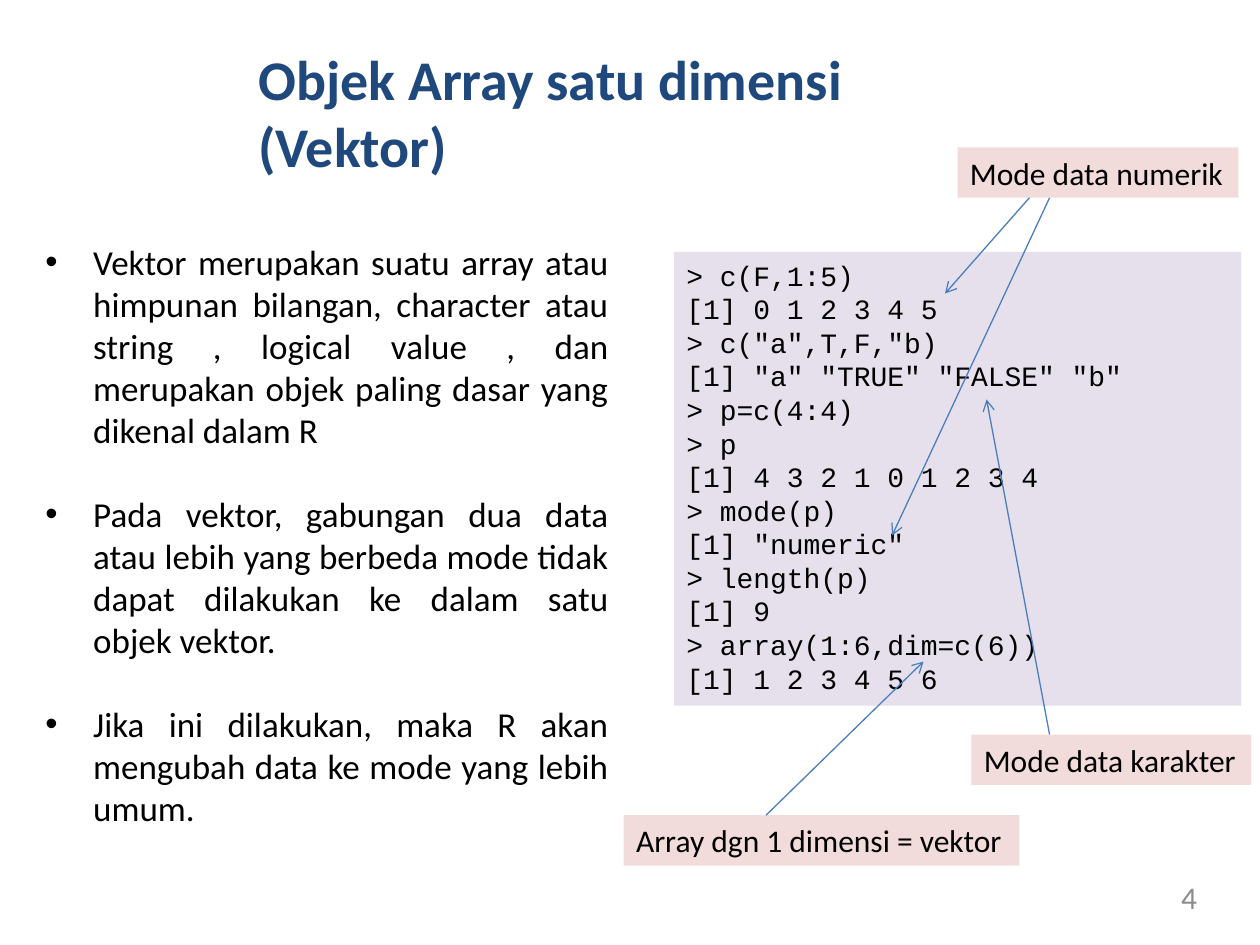
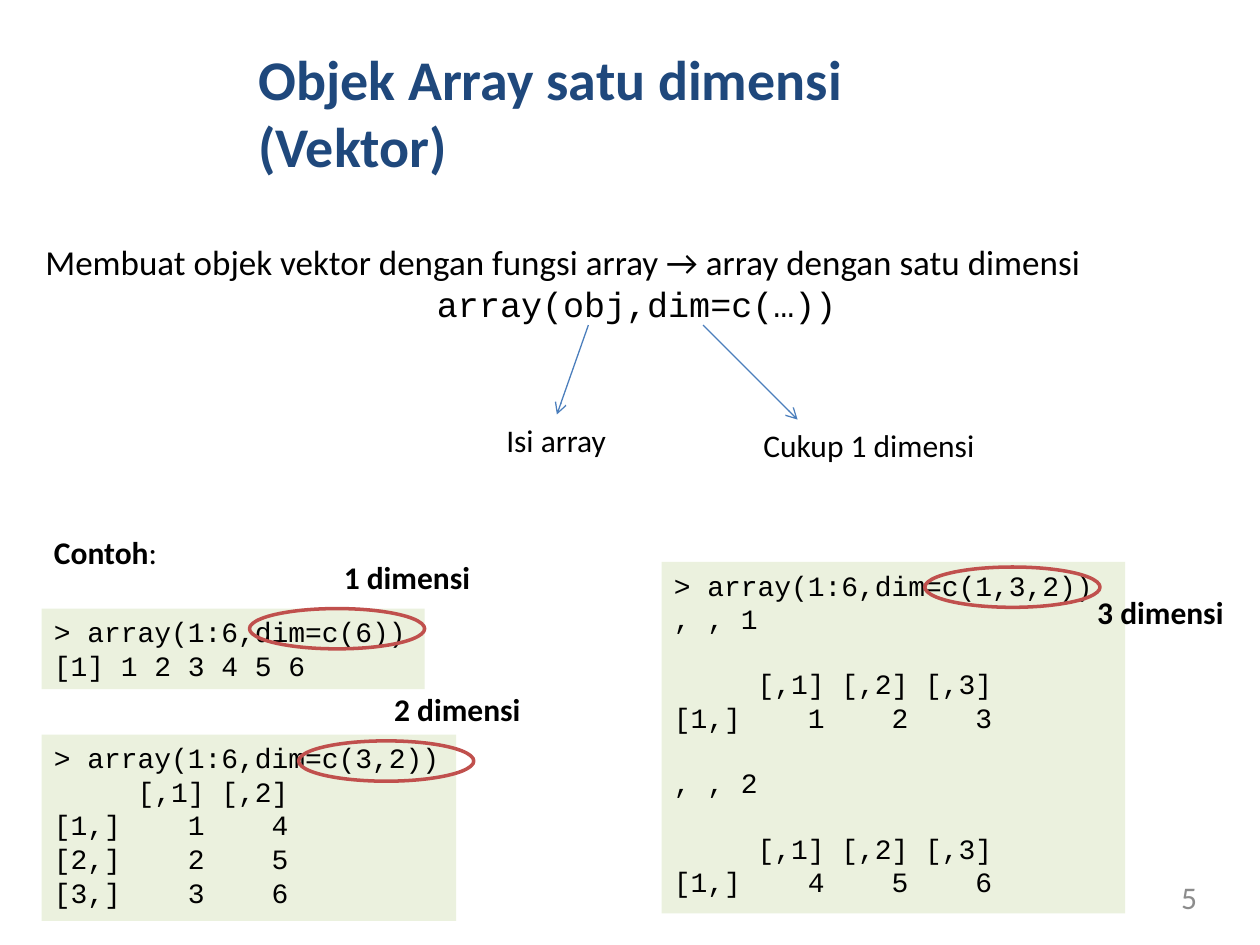
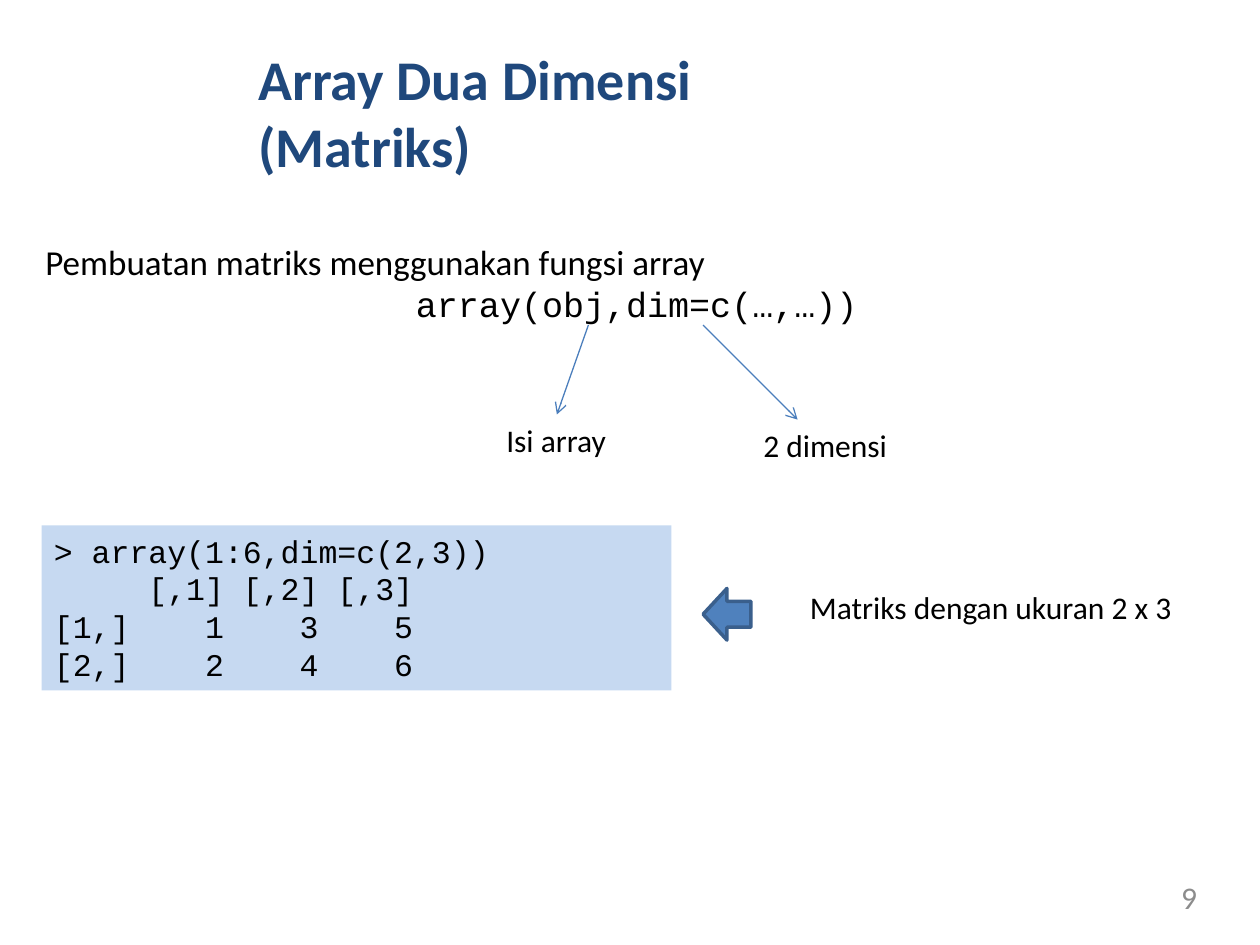
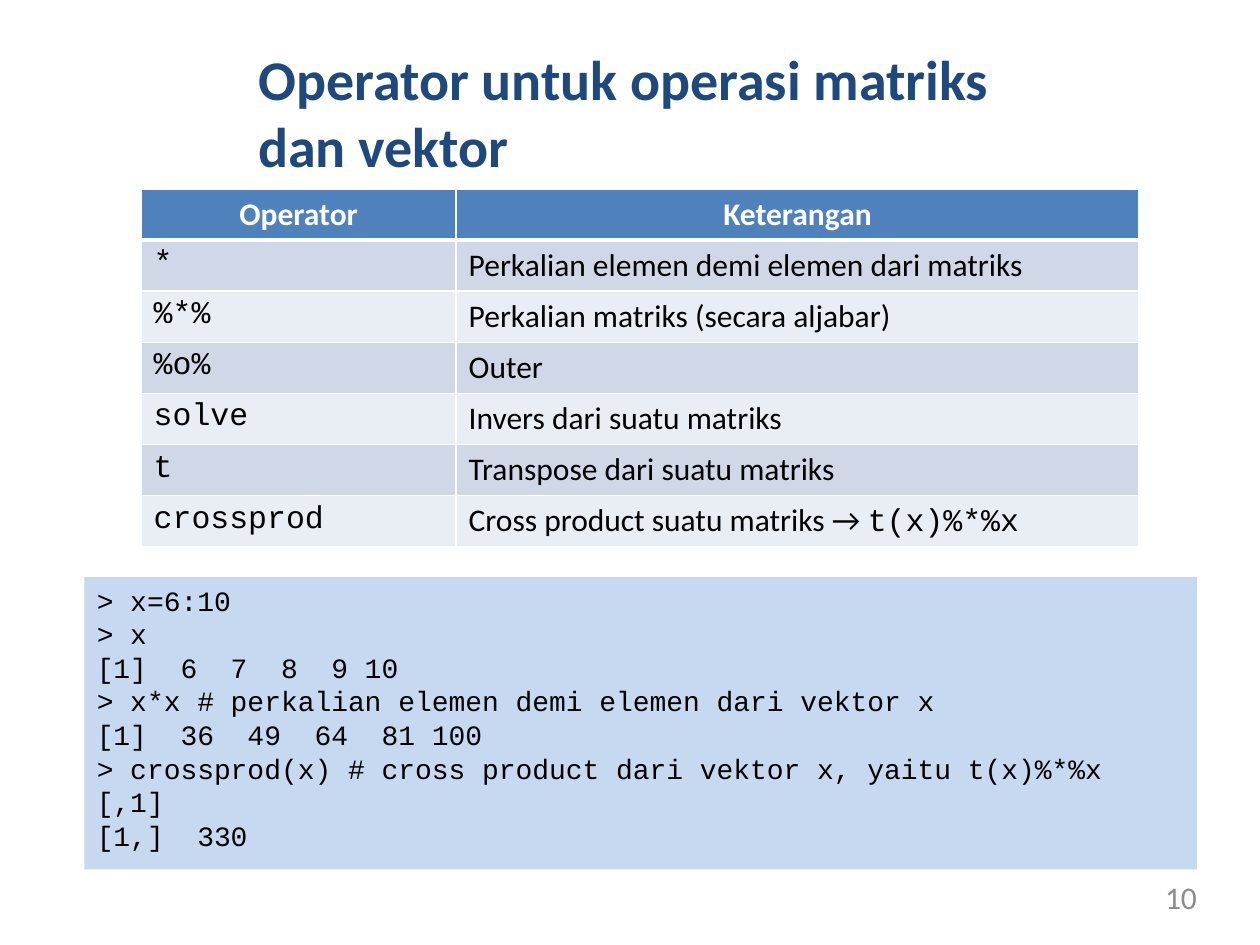
import pptx
import pptx.util
import pptx.dml.color
import pptx.enum.shapes
import pptx.enum.text
import pptx.oxml
import pptx.oxml.ns

Inches = pptx.util.Inches
Pt = pptx.util.Pt
SHAPE = pptx.enum.shapes.MSO_SHAPE
ALIGN = pptx.enum.text.PP_ALIGN

COLORS = {
    "title": "1F487C", "text": "000000", "number": "8C8C8C", "white": "FFFFFF",
    "arrow": "4B7EBC", "lilac": "E6E0EC", "pink": "F2DCDB", "green": "EBF1DE",
    "sky": "C6D9F1", "red": "C0504D", "blue": "4F81BD", "navy": "3A5F8C",
    "band_dark": "D0D8E8", "band_light": "E9EDF4",
}
BODY, CODE = "Calibri", "Courier New"
INTRO_BOX = (0.36, 1.91, 9.39, 0.67)


def rgb(name):
    return pptx.dml.color.RGBColor.from_string(COLORS[name])


def add_xml(parent, tag, **attrs):
    el = pptx.oxml.parse_xml(f"<a:{tag} {pptx.oxml.ns.nsdecls('a')}/>")
    for key, value in attrs.items():
        el.set(key, str(value))
    parent.append(el)
    return el


def add_bullet(p, indent):
    pPr = p._p.get_or_add_pPr()
    pPr.set("marL", str(Inches(indent)))
    pPr.set("indent", str(-Inches(indent)))
    add_xml(pPr, "buFont", typeface="Arial")
    add_xml(pPr, "buChar", char="•")


def write(tf, lines, size=18, font=BODY, color="text", bold=False,
          align=ALIGN.LEFT, bullet=None, gap=0):
    base = dict(size=size, font=font, color=color, bold=bold, align=align)
    p, space = None, 0
    for line in lines:
        if not line:
            space += size * 1.13
            continue
        first = p is None
        p = tf.paragraphs[0] if first else tf.add_paragraph()
        if not first and (space or gap):
            p.space_before = Pt(round(space + gap, 1))
        space = 0
        if bullet:
            add_bullet(p, bullet)
        for text, changes in [(line, {})] if isinstance(line, str) else line:
            fmt = {**base, **changes}
            p.alignment = fmt["align"]
            for i, piece in enumerate(text.split("\n")):
                if i:
                    p.add_line_break()
                r = p.add_run()
                r.text = piece
                r.font.size = Pt(fmt["size"])
                r.font.name = fmt["font"]
                r.font.bold = fmt["bold"]
                r.font.color.rgb = rgb(fmt["color"])


def add_preset(slide, kind, box, fill=None, line=None, width=2):
    sp = slide.shapes.add_shape(kind, *map(Inches, box))
    sp.shadow.inherit = False
    if fill:
        sp.fill.solid()
        sp.fill.fore_color.rgb = rgb(fill)
    else:
        sp.fill.background()
    if line:
        sp.line.color.rgb = rgb(line)
        sp.line.width = Pt(width)
    else:
        sp.line.fill.background()
    return sp


def add_text(slide, box, lines, fill=None, wrap=True, inset=True, **fmt):
    if fill:
        sp = add_preset(slide, SHAPE.RECTANGLE, box, fill)
    else:
        sp = slide.shapes.add_textbox(*map(Inches, box))
    tf = sp.text_frame
    tf.word_wrap = wrap
    tf.vertical_anchor = pptx.enum.text.MSO_ANCHOR.TOP
    if not inset:
        tf.margin_left = tf.margin_top = tf.margin_right = tf.margin_bottom = 0
    write(tf, lines, **fmt)
    return sp


def add_label(slide, box, text, **fmt):
    return add_text(slide, box, [text], wrap=False, **fmt)


def add_code(slide, box, code, fill, size=16):
    return add_text(slide, box, code.strip("\n").split("\n"), fill=fill,
                    size=size, font=CODE)


def add_arrow(slide, start, end, target=None, side=0):
    cx = slide.shapes.add_connector(pptx.enum.shapes.MSO_CONNECTOR.STRAIGHT,
                                    *map(Inches, start + end))
    if target is not None:
        cx.end_connect(target, side)
    cx.line.color.rgb = rgb("arrow")
    cx.line.width = Pt(0.75)
    add_xml(cx.line._get_or_add_ln(), "tailEnd", type="arrow")
    add_xml(cx._element.spPr, "effectLst")


def new_slide(prs, title, number):
    slide = prs.slides.add_slide(prs.slide_layouts[6])
    add_text(slide, (2.05, 0.35, 5.89, 1.08), [title], inset=False,
             size=32, color="title", bold=True)
    add_text(slide, (7.2, 6.97, 2.3, 0.27), [str(number)], inset=False,
             color="number", align=ALIGN.RIGHT)
    return slide


def add_syntax(slide, box, intro, call, dimension, label_width):
    x, y, w, h = box
    add_text(slide, box, [intro, [(call, {"font": CODE, "align": ALIGN.CENTER})]],
             inset=False, size=20)
    base = y + h
    add_label(slide, (x + 5.6, base + 0.75, label_width, 0.4), dimension)
    content = add_label(slide, (x + 3.56, base + 0.71, 1, 0.4), "Isi array")
    add_arrow(slide, (x + 5.22, base), (x + 5.97, base + 0.75))
    add_arrow(slide, (x + 4.31, base), (x + 4.06, base + 0.71), content)


def add_dimension(slide, origin, count, dx, dy):
    x, y = origin
    add_preset(slide, SHAPE.OVAL, (x, y, 1.39, 0.32), line="red")
    add_label(slide, (x + dx, y + dy, 1.21, 0.4), f"{count} dimensi", bold=True)


def add_operator_table(slide, box, widths, header, rows):
    grid = [header] + rows
    table = slide.shapes.add_table(len(grid), len(header),
                                   *map(Inches, box)).table
    for col, width in zip(table.columns, widths):
        col.width = Inches(width)
    for i, row in enumerate(grid):
        for j, text in enumerate(row):
            cell = table.cell(i, j)
            edges = {"lnL": 1, "lnR": 1, "lnT": 3 if i == 1 else 1,
                     "lnB": 3 if i == 0 else 1}
            for tag, width in edges.items():
                ln = add_xml(cell._tc.get_or_add_tcPr(), tag, w=Pt(width))
                add_xml(add_xml(ln, "solidFill"), "srgbClr", val=COLORS["white"])
            cell.fill.solid()
            if i == 0:
                cell.fill.fore_color.rgb = rgb("blue")
                write(cell.text_frame, [text], color="white", bold=True,
                      align=ALIGN.CENTER)
            else:
                cell.fill.fore_color.rgb = rgb("band_dark" if i % 2 else "band_light")
                write(cell.text_frame, [text], font=BODY if j else CODE)


def vector_notes(slide, box):
    add_text(slide, box, [
        "Vektor merupakan suatu array atau himpunan bilangan, character atau "
        "string , logical value , dan merupakan objek paling dasar yang dikenal "
        "dalam R",
        "Pada vektor, gabungan dua data atau lebih yang berbeda mode tidak dapat "
        "dilakukan ke dalam satu objek vektor.",
        "Jika ini dilakukan, maka R akan mengubah data ke mode yang lebih umum.",
    ], inset=False, size=20, align=ALIGN.JUSTIFY, bullet=0.38, gap=24)


VECTOR_CODE = """
> c(F,1:5)
[1] 0 1 2 3 4 5
> c("a",T,F,"b)
[1] "a" "TRUE" "FALSE" "b"
> p=c(4:4)
> p
[1] 4 3 2 1 0 1 2 3 4
> mode(p)
[1] "numeric"
> length(p)
[1] 9
> array(1:6,dim=c(6))
[1] 1 2 3 4 5 6
"""


def annotated_code(slide, box):
    x, y, w, h = box
    add_code(slide, box, VECTOR_CODE, "lilac")
    callouts = [
        ("Mode data numerik", (2.25, -0.83, 2.23),
         [((2.82, -0.43), (2.15, 0.33)), ((2.98, -0.43), (1.73, 2.25))]),
        ("Mode data karakter", (2.36, 3.83, 2.22),
         [((2.98, 3.83), (2.48, 1.17))]),
        ("Array dgn 1 dimensi = vektor", (-0.4, 4.47, 3.14),
         [((0.73, 4.47), (1.98, 3.25))]),
    ]
    for text, (dx, dy, width), arrows in callouts:
        add_label(slide, (x + dx, y + dy, width, 0.4), text, fill="pink")
        for (x1, y1), (x2, y2) in arrows:
            add_arrow(slide, (x + x1, y + y1), (x + x2, y + y2))


ONE_DIM = """
> array(1:6,dim=c(6))
[1] 1 2 3 4 5 6
"""
TWO_DIM = """
> array(1:6,dim=c(3,2))
     [,1] [,2]
[1,]    1    4
[2,]    2    5
[3,]    3    6
"""
THREE_DIM = """
> array(1:6,dim=c(1,3,2))
, , 1

     [,1] [,2] [,3]
[1,]    1    2    3

, , 2

     [,1] [,2] [,3]
[1,]    4    5    6
"""


def dimension_examples(slide, box):
    x, y, w, h = box
    add_label(slide, (x, y, 1.02, 0.4), [("Contoh", {"bold": True}), (":", {})])
    examples = [
        (ONE_DIM, (0, 0.65, 3.04, 0.64), (1.65, 0), (0.65, -0.45)),
        (TWO_DIM, (0, 1.65, 3.29, 1.48), (2.04, 0.05), (0.66, -0.45)),
        (THREE_DIM, (4.92, 0.28, 3.68, 2.79), (2.09, 0.04), (1.27, 0.16)),
    ]
    for code, (dx, dy, cw, ch), _, _ in examples:
        add_code(slide, (x + dx, y + dy, cw, ch), code, "green")
    for count, (_, (dx, dy, _, _), (ox, oy), offset) in enumerate(examples, 1):
        add_dimension(slide, (x + dx + ox, y + dy + oy), count, *offset)


MATRIX_CODE = """
> array(1:6,dim=c(2,3))
     [,1] [,2] [,3]
[1,]    1    3    5
[2,]    2    4    6
"""


def matrix_example(slide, box):
    x, y, w, h = box
    add_code(slide, box, MATRIX_CODE, "sky", size=18)
    add_label(slide, (x + w + 1, y + 0.45, 3.1, 0.4), "Matriks dengan ukuran 2 x 3")
    add_preset(slide, SHAPE.LEFT_ARROW, (x + w + 0.25, y + 0.5, 0.38, 0.41),
               "blue", "navy")


OPERATORS = [
    ["*", "Perkalian elemen demi elemen dari matriks"],
    ["%*%", "Perkalian matriks (secara aljabar)"],
    ["%o%", "Outer"],
    ["solve", "Invers dari suatu matriks"],
    ["t", "Transpose dari suatu matriks"],
    ["crossprod", [("Cross product suatu matriks → ", {}),
                   ("t(x)%*%x", {"font": CODE})]],
]
OPERATOR_CODE = """
> x=6:10
> x
[1]  6  7  8  9 10
> x*x # perkalian elemen demi elemen dari vektor x
[1]  36  49  64  81 100
> crossprod(x) # cross product dari vektor x, yaitu t(x)%*%x
[,1]
[1,]  330
"""


def main():
    prs = pptx.Presentation()
    prs.slide_width, prs.slide_height = Inches(10), Inches(7.5)

    slide = new_slide(prs, "Objek Array satu dimensi (Vektor)", 4)
    vector_notes(slide, (0.36, 1.91, 4.47, 2.36))
    annotated_code(slide, (5.35, 2, 4.5, 3.6))

    slide = new_slide(prs, "Objek Array satu dimensi (Vektor)", 5)
    add_syntax(slide, INTRO_BOX,
               "Membuat objek vektor dengan fungsi array → array dengan satu dimensi",
               "array(obj,dim=c(…))", "Cukup 1 dimensi", 1.9)
    dimension_examples(slide, (0.33, 4.18, 9.49, 3.13))

    slide = new_slide(prs, "Array Dua Dimensi\n(Matriks)", 9)
    add_syntax(slide, INTRO_BOX, "Pembuatan matriks menggunakan fungsi array",
               "array(obj,dim=c(…,…))", "2 dimensi", 1.2)
    matrix_example(slide, (0.33, 4.17, 5, 1.31))

    slide = new_slide(prs, "Operator untuk operasi matriks dan vektor", 10)
    add_operator_table(slide, (1.12, 1.5, 7.92, 2.84), (2.5, 5.42),
                       ["Operator", "Keterangan"], OPERATORS)
    add_code(slide, (0.67, 4.58, 8.83, 2.32), OPERATOR_CODE, "sky")

    prs.save("out.pptx")


if __name__ == "__main__":
    main()
